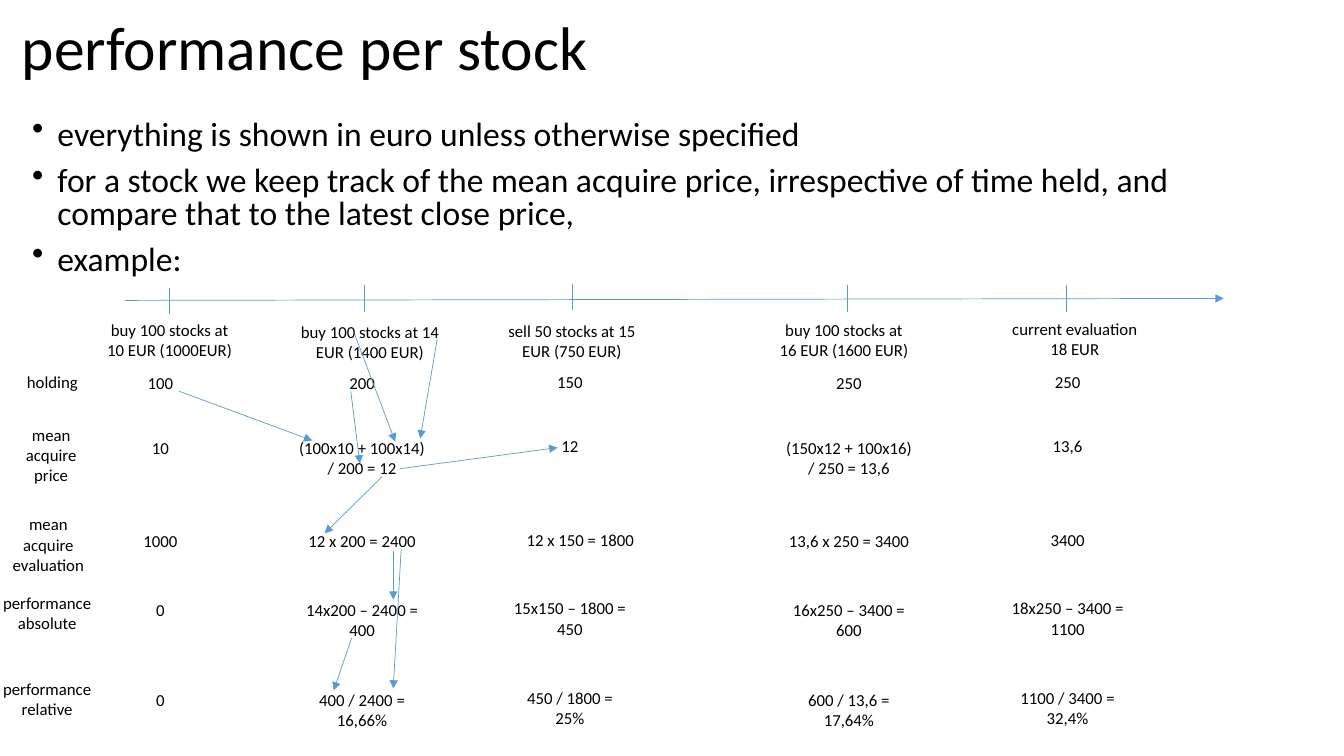
from dataclasses import dataclass
from typing import NamedTuple

from lxml.etree import SubElement
from pptx import Presentation
from pptx.dml.color import RGBColor
from pptx.enum.shapes import MSO_CONNECTOR as Connector
from pptx.enum.text import MSO_ANCHOR as Anchor, MSO_AUTO_SIZE as AutoSize, PP_ALIGN as Align
from pptx.oxml.ns import qn
from pptx.slide import Slide
from pptx.text.text import TextFrame
from pptx.util import Cm, Pt

BLACK = RGBColor(0x00, 0x00, 0x00)
BLUE = RGBColor(0x5B, 0x9B, 0xD5)
FONT = "Calibri"
CELL_WIDTH = 3.73
TICK_HEIGHT = 0.66


class Line(NamedTuple):
    x1: float
    y1: float
    x2: float
    y2: float
    arrow: bool = True


@dataclass
class Label:
    text: str
    left: float
    top: float
    width: float
    height: float
    align: Align = Align.CENTER


@dataclass
class Row:
    label: Label
    top: float
    height: float


@dataclass
class Event:
    heading: Label
    tick_x: float
    tick_top: float
    left: float
    lift: float
    values: list[str]


ROWS = [
    Row(Label("holding", 0, 9.25, 2.64, 0.76), 9.27, 0.76),
    Row(Label("mean acquire price", -0.03, 10.57, 2.64, 1.8), 10.9, 1.8),
    Row(Label("mean acquire evaluation", -0.1, 12.83, 2.64, 1.8), 13.26, 0.76),
    Row(Label("performance absolute", -0.23, 14.81, 2.84, 1.27), 14.99, 1.27),
    Row(Label("performance relative", -0.23, 16.97, 2.84, 1.27), 17.25, 1.27),
]

EVENTS = [
    Event(Label("buy 100 stocks at 10 EUR (1000EUR)", 2.41, 7.92, 3.73, 1.27),
          4.27, 7.26, 2.18, 0,
          ["100", "10", "1000", "0", "0"]),
    Event(Label("buy 100 stocks at 14 EUR (1400 EUR)", 7.32, 7.98, 4.01, 1.27),
          9.19, 7.19, 7.26, 0,
          ["200", "(100x10 + 100x14) / 200 = 12", "12 x 200 = 2400",
           "14x200 – 2400 = 400", "400 / 2400 = 16,66%"]),
    Event(Label("sell 50 stocks at 15 EUR (750 EUR)", 12.55, 7.95, 3.73, 1.27),
          14.43, 7.16, 12.5, 0.04,
          ["150", "12", "12 x 150 = 1800",
           "15x150 – 1800 = 450", "450 / 1800 =\n25%"]),
    Event(Label("buy 100 stocks at 16 EUR (1600 EUR)", 19.3, 7.92, 3.94, 1.27),
          21.36, 7.19, 19.53, 0,
          ["250", "(150x12 + 100x16) / 250 = 13,6", "13,6 x 250 = 3400",
           "16x250 – 3400 = 600", "600 / 13,6 = 17,64%"]),
    Event(Label("current evaluation 18 EUR", 25.22, 7.9, 3.73, 1.27),
          26.87, 7.19, 25.04, 0.04,
          ["250", "13,6", "3400", "18x250 – 3400 = 1100", "1100 / 3400 = 32,4%"]),
]

RIGHT_ALIGNED = {"12 x 150 = 1800"}

TIMELINE = Line(3.15, 7.57, 30.84, 7.52)

DEPENDENCIES = [
    Line(4.52, 9.86, 7.87, 11.1),
    Line(8.94, 8.43, 9.96, 11.13),
    Line(11.02, 8.53, 10.59, 11.05),
    Line(8.84, 9.86, 9.07, 11.68),
    Line(9.63, 12.01, 8.18, 13.44),
    Line(10.08, 11.81, 14.05, 11.28),
    Line(9.91, 13.89, 9.91, 15.11),
    Line(8.86, 16.08, 8.41, 17.4),
    Line(10.11, 13.84, 9.91, 17.35),
]

BULLETS = [
    "everything is shown in euro unless otherwise specified",
    "for a stock we keep track of the mean acquire price, irrespective of time held, "
    "and compare that to the latest close price,",
    "example:",
]


def format_text(frame: TextFrame, size: float, align: Align) -> None:
    frame.word_wrap = True
    frame.auto_size = AutoSize.NONE
    for para in frame.paragraphs:
        para.alignment = align
        para.font.name = FONT
        para.font.size = Pt(size)
        para.font.color.rgb = BLACK


def add_label(page: Slide, label: Label, size: float = 12) -> TextFrame:
    box = page.shapes.add_textbox(Cm(label.left), Cm(label.top), Cm(label.width), Cm(label.height))
    box.text_frame.text = label.text
    format_text(box.text_frame, size, label.align)
    return box.text_frame


def add_line(page: Slide, line: Line) -> None:
    connector = page.shapes.add_connector(
        Connector.STRAIGHT, Cm(line.x1), Cm(line.y1), Cm(line.x2), Cm(line.y2))
    connector.line.color.rgb = BLUE
    connector.line.width = Pt(0.5)
    if line.arrow:
        SubElement(connector.line._get_or_add_ln(), qn("a:tailEnd"), type="triangle")
    SubElement(connector._element.spPr, qn("a:effectLst"))


def add_title(page: Slide) -> None:
    title = page.shapes.title
    title.left, title.top, title.width, title.height = Cm(0.3), Cm(-0.56), Cm(29.21), Cm(3.68)
    frame = title.text_frame
    frame.text = "performance per stock"
    frame.vertical_anchor = Anchor.MIDDLE
    format_text(frame, 44, Align.LEFT)
    frame.paragraphs[0].line_spacing = 0.9


def add_bullets(page: Slide) -> None:
    frame = add_label(page, Label("\n".join(BULLETS), 0.56, 2.92, 31.57, 4.52, Align.LEFT), 24)
    for para in frame.paragraphs:
        para.line_spacing = 0.8
        para.space_before = Pt(10)
        properties = para._p.get_or_add_pPr()
        properties.set("marL", str(Cm(0.64)))
        properties.set("indent", str(-Cm(0.64)))
        SubElement(properties, qn("a:buChar"), char="•")


def add_event(page: Slide, event: Event) -> None:
    add_line(page, Line(event.tick_x, event.tick_top,
                        event.tick_x, event.tick_top + TICK_HEIGHT, arrow=False))
    add_label(page, event.heading)
    for row, value in zip(ROWS, event.values):
        align = Align.RIGHT if value in RIGHT_ALIGNED else Align.CENTER
        add_label(page, Label(value, event.left, row.top - event.lift,
                              CELL_WIDTH, row.height, align))


def main() -> None:
    deck = Presentation()
    deck.slide_width, deck.slide_height = Cm(33.87), Cm(19.05)
    page = deck.slides.add_slide(deck.slide_layouts[5])
    add_title(page)
    add_bullets(page)
    add_line(page, TIMELINE)
    for row in ROWS:
        add_label(page, row.label)
    for event in EVENTS:
        add_event(page, event)
    for dependency in DEPENDENCIES:
        add_line(page, dependency)
    deck.save("out.pptx")


if __name__ == "__main__":
    main()
